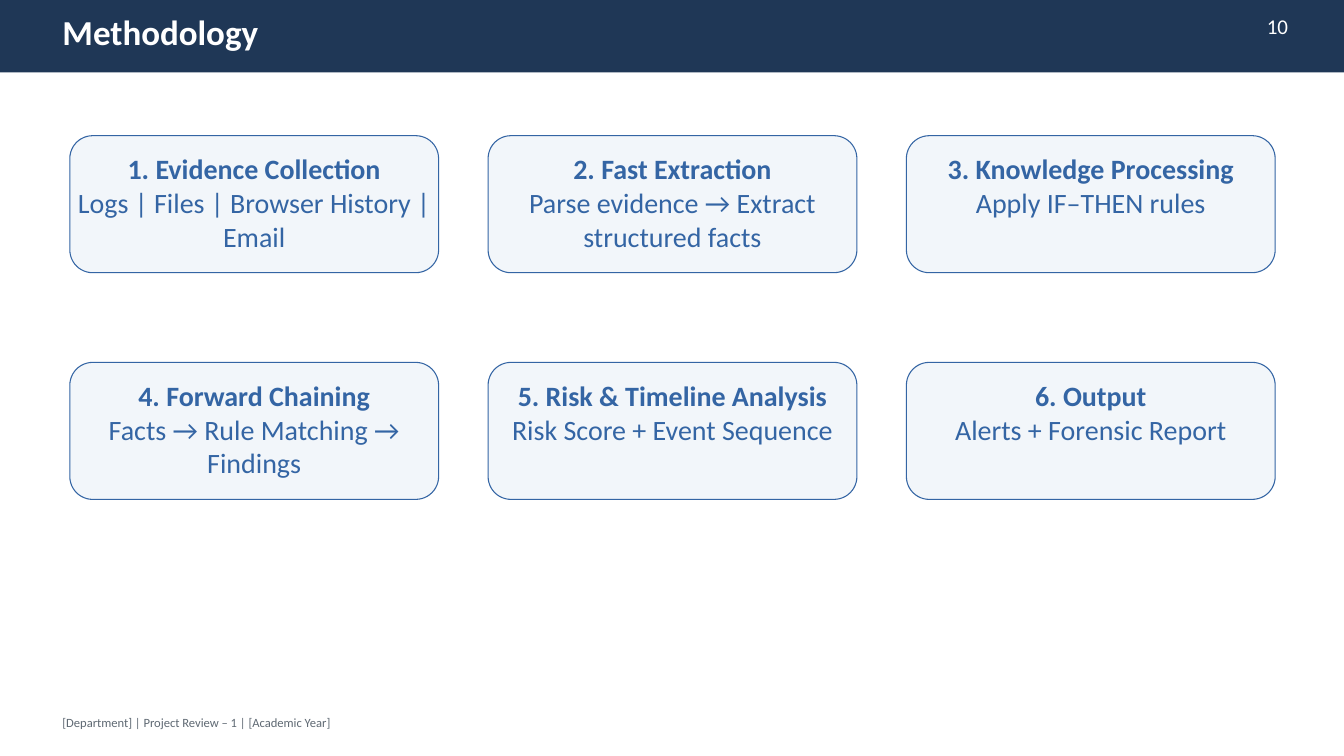
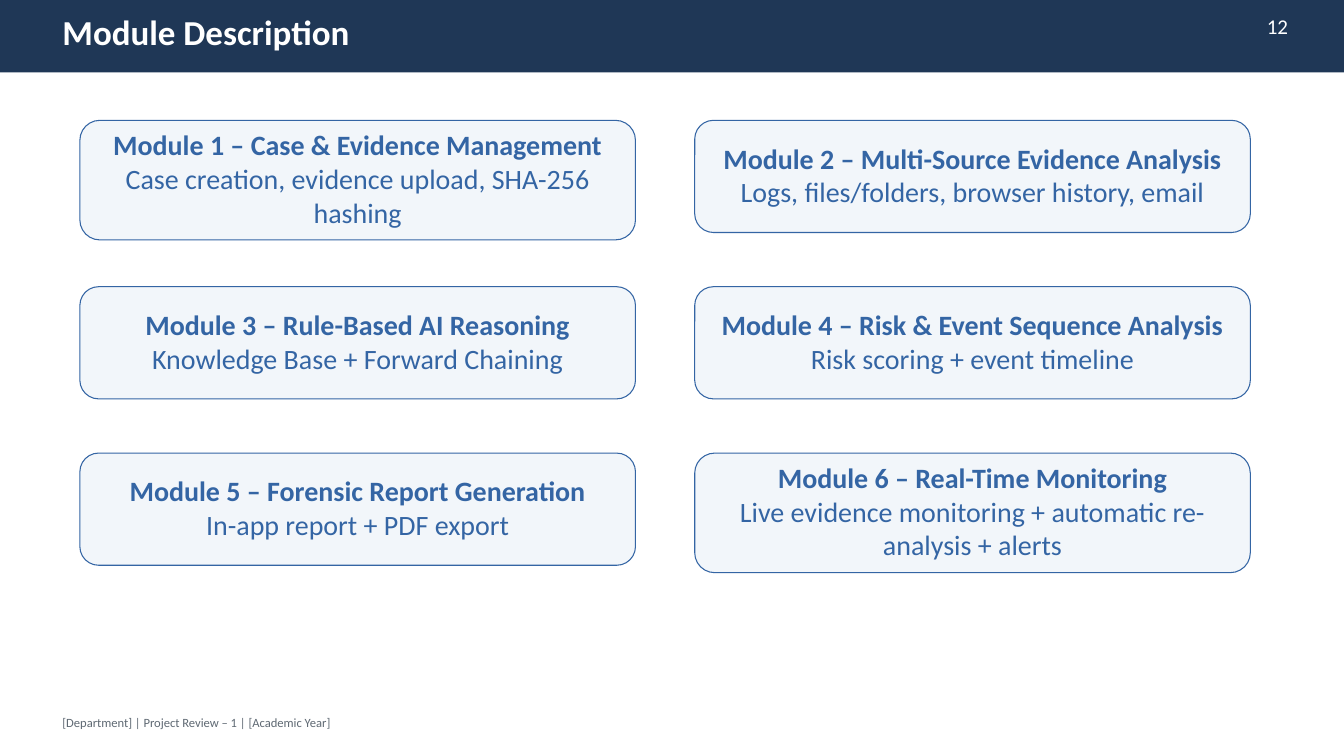
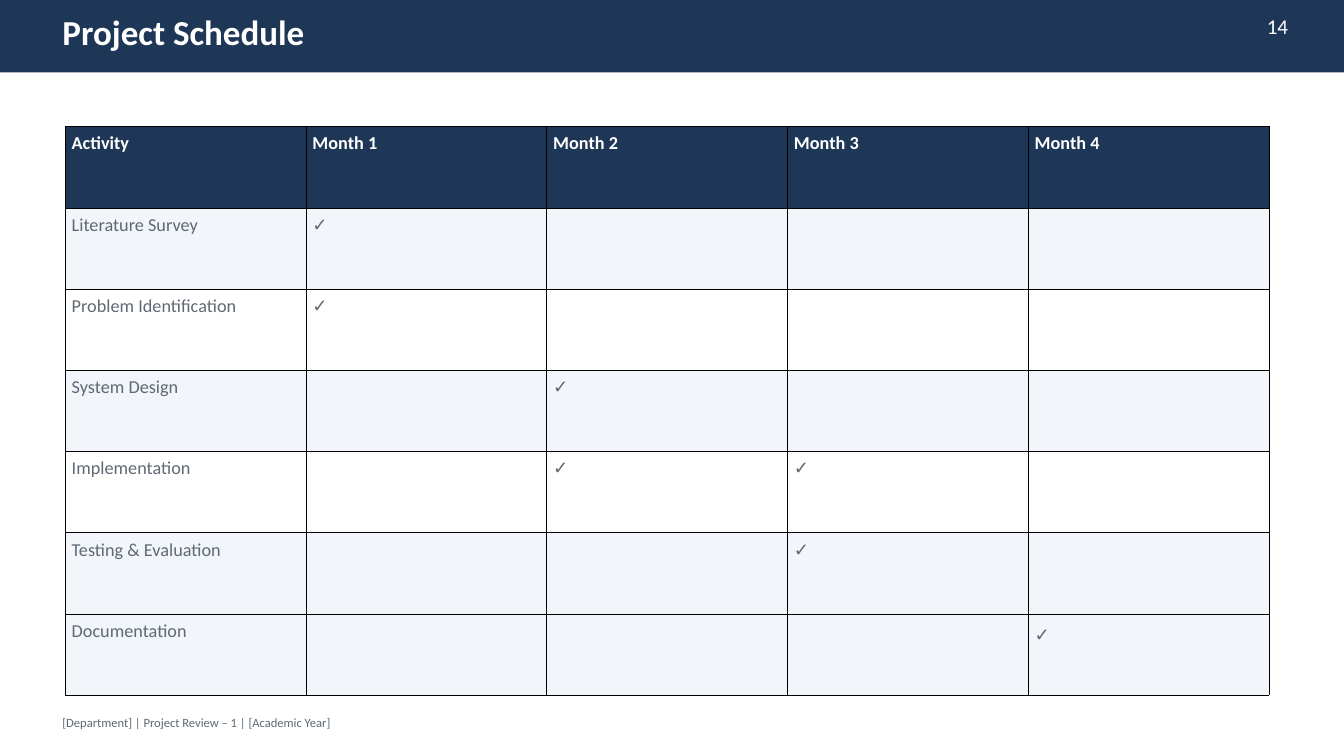
"""Build three project review slides: methodology, modules and schedule."""
from dataclasses import dataclass

from lxml import etree
from pptx import Presentation
from pptx.dml.color import RGBColor
from pptx.enum.shapes import MSO_SHAPE
from pptx.enum.text import MSO_ANCHOR, PP_ALIGN
from pptx.oxml.ns import qn
from pptx.util import Cm, Pt

RECTANGLE = MSO_SHAPE.RECTANGLE
ROUNDED = MSO_SHAPE.ROUNDED_RECTANGLE
TOP, MIDDLE = MSO_ANCHOR.TOP, MSO_ANCHOR.MIDDLE
LEFT, CENTER, RIGHT = PP_ALIGN.LEFT, PP_ALIGN.CENTER, PP_ALIGN.RIGHT


@dataclass(frozen=True)
class Theme:
    """Colours, fonts and type sizes shared by the slides."""
    navy: RGBColor = RGBColor(0x1F, 0x37, 0x56)
    blue: RGBColor = RGBColor(0x34, 0x65, 0xA4)
    pale: RGBColor = RGBColor(0xF2, 0xF6, 0xFA)
    gray: RGBColor = RGBColor(0x5F, 0x69, 0x73)
    white: RGBColor = RGBColor(0xFF, 0xFF, 0xFF)
    border: str = "000000"
    font: str = "Calibri"
    mark_font: str = "Roboto"
    title: float = 37.5
    number: float = 22.5
    card: float = 30
    table: float = 19.5
    footer: float = 13.5
    leading: float = 1.2
    mark_leading: float = 1.4


THEME = Theme()
FOOTER = "[Department] | Project Review – 1 | [Academic Year]"
TITLES = [("Methodology", "10"), ("Module Description", "12"), ("Project Schedule", "14")]


def write(paragraph, text, size, color, bold=False, align=LEFT):
    """Put one styled line of text into a paragraph."""
    paragraph.text = text
    paragraph.alignment = align
    paragraph.line_spacing = Pt(size * THEME.leading)
    paragraph.font.name = THEME.font
    paragraph.font.size = Pt(size)
    paragraph.font.bold = bold
    paragraph.font.color.rgb = color


def set_margins(frame, left=0, top=0, right=0, bottom=0):
    """Set the inner margins of a text frame or table cell in centimetres."""
    frame.margin_left, frame.margin_top = Cm(left), Cm(top)
    frame.margin_right, frame.margin_bottom = Cm(right), Cm(bottom)


presentation = Presentation()
presentation.slide_width = Cm(50.8)
presentation.slide_height = Cm(28.58)

slides = []
for title, number in TITLES:
    slide = presentation.slides.add_slide(presentation.slide_layouts[6])
    slides.append(slide)
    band = slide.shapes.add_shape(RECTANGLE, 0, 0, presentation.slide_width, Cm(2.74))
    band.shadow.inherit = False
    band.fill.solid()
    band.fill.fore_color.rgb = THEME.navy
    band.line.fill.background()
    for text, left, top, width, height, size, color, bold, align in [
        (title, 2.36, 0.41, 44.07, 1.55, THEME.title, THEME.white, True, LEFT),
        (number, 47.29, 0.53, 1.4, 1.24, THEME.number, THEME.white, False, RIGHT),
        (FOOTER, 2.36, 27.03, 45.97, 0.66, THEME.footer, THEME.gray, False, LEFT),
    ]:
        box = slide.shapes.add_textbox(Cm(left), Cm(top), Cm(width), Cm(height))
        box.text_frame.word_wrap = True
        set_margins(box.text_frame)
        write(box.text_frame.paragraphs[0], text, size, color, bold, align)

methodology, modules, schedule = slides

STEP_HEIGHT = 5.18
STEPS = [
    ("1. Evidence Collection", "Logs | Files | Browser History | Email", STEP_HEIGHT),
    ("2. Fast Extraction", "Parse evidence → Extract structured facts", STEP_HEIGHT),
    ("3. Knowledge Processing", "Apply IF–THEN rules", STEP_HEIGHT),
    ("4. Forward Chaining", "Facts → Rule Matching → Findings", STEP_HEIGHT),
    ("5. Risk & Timeline Analysis", "Risk Score + Event Sequence", STEP_HEIGHT),
    ("6. Output", "Alerts + Forensic Report", STEP_HEIGHT),
]
MODULE_HEIGHT, TALL_MODULE_HEIGHT = 4.24, 4.52
MODULES = [
    ("Module 1 – Case & Evidence Management",
     "Case creation, evidence upload, SHA-256 hashing", TALL_MODULE_HEIGHT),
    ("Module 2 – Multi-Source Evidence Analysis",
     "Logs, files/folders, browser history, email", MODULE_HEIGHT),
    ("Module 3 – Rule-Based AI Reasoning",
     "Knowledge Base + Forward Chaining", MODULE_HEIGHT),
    ("Module 4 – Risk & Event Sequence Analysis",
     "Risk scoring + event timeline", MODULE_HEIGHT),
    ("Module 5 – Forensic Report Generation",
     "In-app report + PDF export", MODULE_HEIGHT),
    ("Module 6 – Real-Time Monitoring",
     "Live evidence monitoring + automatic re-analysis + alerts", TALL_MODULE_HEIGHT),
]

for slide, cards, columns, left, top, width, pitch_x, pitch_y, anchor, margin_top in [
    (methodology, STEPS, 3, 2.64, 5.13, 13.94, 15.81, 8.57, TOP, 0.36),
    (modules, MODULES, 2, 3.02, 4.55, 21, 23.24, 6.29, MIDDLE, 0),
]:
    for index, (heading, detail, height) in enumerate(cards):
        row, column = divmod(index, columns)
        card = slide.shapes.add_shape(
            ROUNDED, Cm(left + column * pitch_x), Cm(top + row * pitch_y),
            Cm(width), Cm(height))
        card.shadow.inherit = False
        card.fill.solid()
        card.fill.fore_color.rgb = THEME.pale
        card.line.color.rgb = THEME.blue
        card.line.width = Pt(1.13)
        frame = card.text_frame
        frame.word_wrap = True
        frame.vertical_anchor = anchor
        set_margins(frame, top=margin_top, bottom=0.13)
        write(frame.paragraphs[0], heading, THEME.card, THEME.blue, True, CENTER)
        write(frame.add_paragraph(), detail, THEME.card, THEME.blue, False, CENTER)

HEADER = ["Activity", "Month 1", "Month 2", "Month 3", "Month 4"]
ACTIVITIES = [
    ("Literature Survey", [1], THEME.pale),
    ("Problem Identification", [1], THEME.white),
    ("System Design", [2], THEME.pale),
    ("Implementation", [2, 3], THEME.white),
    ("Testing & Evaluation", [3], THEME.pale),
    ("Documentation", [4], THEME.pale),
]
rows = [(HEADER, THEME.navy, THEME.white, True)]
for activity, months, fill in ACTIVITIES:
    marks = ["✓" if month in months else "" for month in range(1, len(HEADER))]
    rows.append(([activity] + marks, fill, THEME.gray, False))

COLUMN_WIDTH, ROW_HEIGHT = 9.1, 3.07
table = schedule.shapes.add_table(
    len(rows), len(HEADER), Cm(2.46), Cm(4.78),
    Cm(COLUMN_WIDTH * len(HEADER)), Cm(ROW_HEIGHT * len(rows))).table
table.horz_banding = False
for table_column in table.columns:
    table_column.width = Cm(COLUMN_WIDTH)
for table_row, (texts, fill, color, bold) in zip(table.rows, rows):
    table_row.height = Cm(ROW_HEIGHT)
    for cell, text in zip(table_row.cells, texts):
        set_margins(cell, 0.25, 0.25, 0.25, 0.25)
        properties = cell._tc.get_or_add_tcPr()
        for side in ("a:lnL", "a:lnR", "a:lnT", "a:lnB"):
            edge = etree.SubElement(properties, qn(side), w=str(Pt(0.37)))
            line_fill = etree.SubElement(edge, qn("a:solidFill"))
            etree.SubElement(line_fill, qn("a:srgbClr"), val=THEME.border)
        cell.fill.solid()
        cell.fill.fore_color.rgb = fill
        if text:
            write(cell.text_frame.paragraphs[0], text, THEME.table, color, bold)

final_mark = table.cell(len(rows) - 1, len(HEADER) - 1).text_frame.paragraphs[0]
final_mark.font.name = THEME.mark_font
final_mark.line_spacing = Pt(THEME.table * THEME.mark_leading)

presentation.save("out.pptx")
